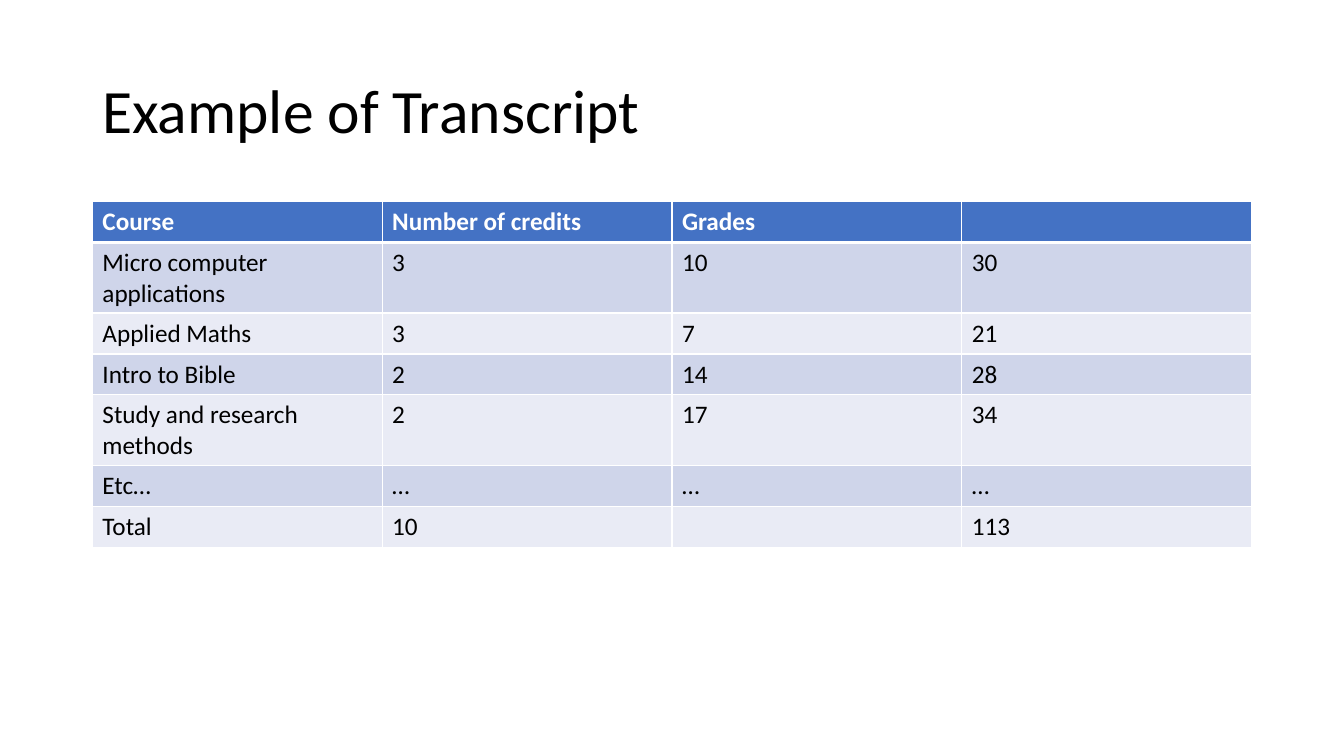
"""Build the slide with an example of a course transcript."""

from dataclasses import dataclass

from lxml.etree import SubElement as Sub
from pptx import Presentation
from pptx.dml.color import RGBColor as Color
from pptx.enum.text import MSO_VERTICAL_ANCHOR as Anchor
from pptx.oxml.ns import qn
from pptx.slide import Slide
from pptx.table import _Cell as Cell
from pptx.text.text import TextFrame
from pptx.util import Pt


@dataclass(frozen=True)
class Theme:
    font: str = "Calibri"
    title_size: float = 44
    table_size: float = 18
    ink: str = "000000"
    paper: str = "FFFFFF"
    header: str = "4472C4"
    bands: tuple[str, str] = ("CFD5EA", "E9EBF5")
    thin: float = 1
    thick: float = 3


@dataclass(frozen=True)
class Area:
    left: float
    top: float
    width: float
    height: float


@dataclass(frozen=True)
class Course:
    name: str
    credits: str
    grade: str
    points: str


THEME = Theme()
TITLE_AREA = Area(66, 28.75, 828, 104.38)
TABLE_AREA = Area(66, 144, 828, 204.4)
HEADINGS = Course("Course", "Number of credits", "Grades", "")
COURSES = [
    Course("Micro computer applications", "3", "10", "30"),
    Course("Applied Maths", "3", "7", "21"),
    Course("Intro to Bible", "2", "14", "28"),
    Course("Study and research methods", "2", "17", "34"),
    Course("Etc…", "…", "…", "…"),
    Course("Total", "10", "", "113"),
]


def write(frame: TextFrame, text: str, *, size: float, color: str,
          bold: bool = False, spacing: float = 1) -> None:
    """Put one formatted paragraph in a text frame."""
    para = frame.paragraphs[0]
    para.line_spacing = spacing
    span = para.add_run()
    span.text = text
    span.font.name = THEME.font
    span.font.size = Pt(size)
    span.font.bold = bold
    span.font.color.rgb = Color.from_string(color)


def add_border(cell: Cell, side: str, width: float) -> None:
    """Draw one side of a cell's border."""
    properties = cell._tc.get_or_add_tcPr()
    line = Sub(properties, qn(f"a:ln{side}"), w=str(Pt(width)))
    fill = Sub(line, qn("a:solidFill"))
    Sub(fill, qn("a:srgbClr"), val=THEME.paper)


def draw_title(page: Slide, area: Area, text: str) -> None:
    """Draw the slide title, centred vertically in its area."""
    box = page.shapes.add_textbox(
        Pt(area.left), Pt(area.top), Pt(area.width), Pt(area.height))
    frame = box.text_frame
    frame.word_wrap = True
    frame.vertical_anchor = Anchor.MIDDLE
    write(frame, text, size=THEME.title_size, color=THEME.ink, spacing=0.9)


def draw_cell(cell: Cell, text: str, row: int) -> None:
    """Draw one table cell in the style of its row."""
    heading = row == 0
    add_border(cell, "L", THEME.thin)
    add_border(cell, "R", THEME.thin)
    add_border(cell, "T", THEME.thick if row == 1 else THEME.thin)
    add_border(cell, "B", THEME.thick if heading else THEME.thin)
    color = THEME.header if heading else THEME.bands[(row - 1) % 2]
    cell.fill.solid()
    cell.fill.fore_color.rgb = Color.from_string(color)
    if text:
        write(cell.text_frame, text, size=THEME.table_size, bold=heading,
              color=THEME.paper if heading else THEME.ink)


def draw_transcript(page: Slide, area: Area, courses: list[Course]) -> None:
    """Draw the transcript table with equal columns and rows."""
    records = [(c.name, c.credits, c.grade, c.points) for c in courses]
    table = page.shapes.add_table(
        len(records), len(records[0]), Pt(area.left), Pt(area.top),
        Pt(area.width), Pt(area.height)).table
    for row, record in enumerate(records):
        for column, text in enumerate(record):
            draw_cell(table.cell(row, column), text, row)


def main() -> None:
    """Build and save the deck."""
    deck = Presentation()
    deck.slide_width, deck.slide_height = Pt(960), Pt(540)
    page = deck.slides.add_slide(deck.slide_layouts[6])
    draw_title(page, TITLE_AREA, "Example of Transcript")
    draw_transcript(page, TABLE_AREA, [HEADINGS, *COURSES])
    deck.save("out.pptx")


if __name__ == "__main__":
    main()
